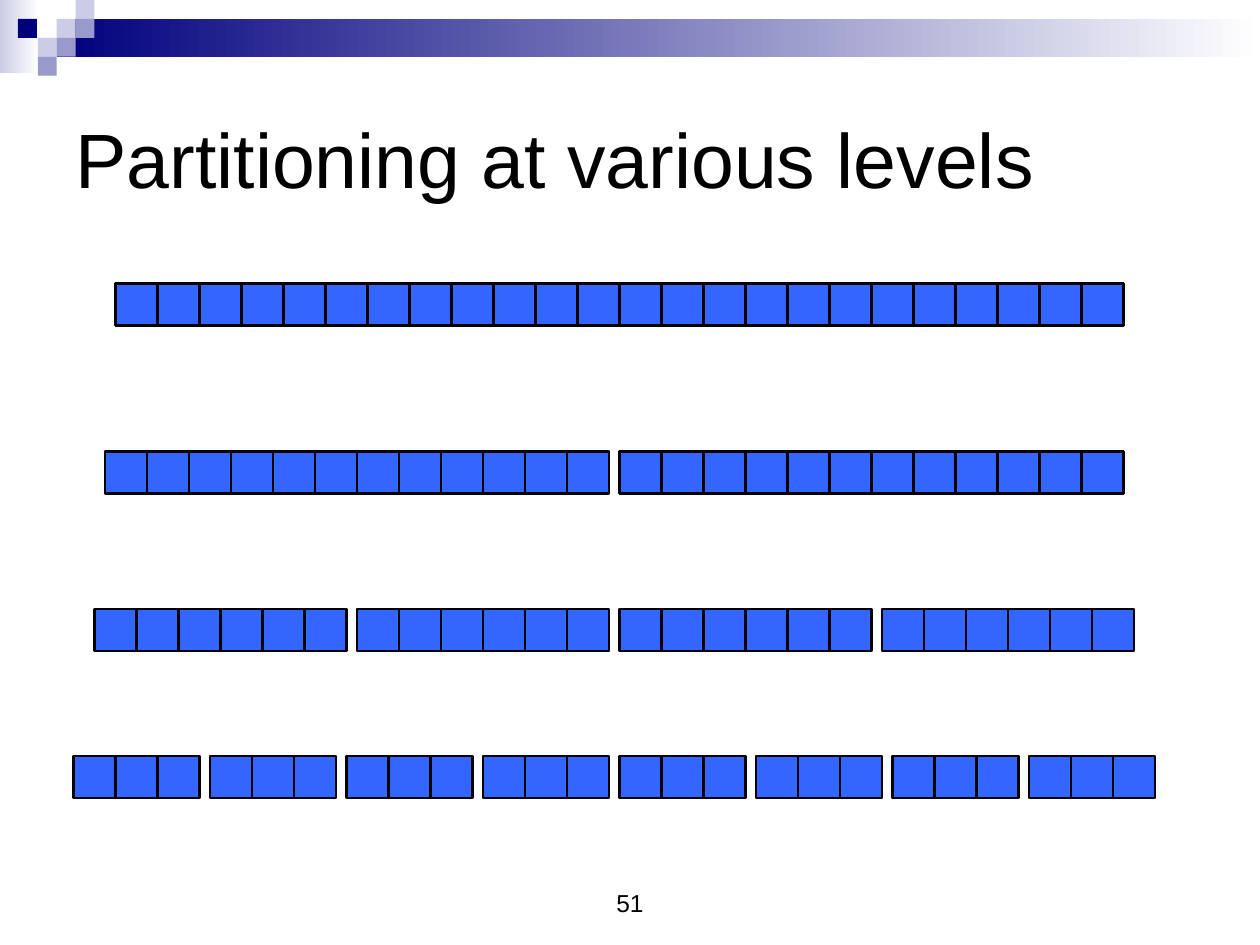
import pptx
import pptx.dml.color
import pptx.enum.shapes
import pptx.enum.text
import pptx.util

Pt = pptx.util.Pt
ALIGN = pptx.enum.text.PP_ALIGN
ANCHOR = pptx.enum.text.MSO_ANCHOR
COLORS = {
    "black": "000000",
    "white": "FFFFFF",
    "cell": "3366FF",
    "navy": "00007D",
    "lavender": "CCCCE6",
    "violet": "9999CC",
}
CELL = 24
GAP = 6
TOTAL_CELLS = 24


def rgb(name):
    """Return the named colour of the palette."""
    return pptx.dml.color.RGBColor.from_string(COLORS[name])


def write_text(shape, text, size, align=ALIGN.LEFT, anchor=ANCHOR.MIDDLE, color="black"):
    """Write one formatted paragraph into a shape."""
    frame = shape.text_frame
    frame.word_wrap = True
    frame.auto_size = pptx.enum.text.MSO_AUTO_SIZE.NONE
    frame.vertical_anchor = anchor
    paragraph = frame.paragraphs[0]
    paragraph.text = text
    paragraph.alignment = align
    paragraph.font.name = "Arial"
    paragraph.font.size = Pt(size)
    paragraph.font.color.rgb = rgb(color)


def place(shape, box):
    """Move a shape to a box of left, top, width and height."""
    shape.left, shape.top, shape.width, shape.height = map(Pt, box)


def add_rectangle(group, box, fill, fade_to=None, outline=None):
    """Add a rectangle with a solid or fading fill to a group."""
    kind = pptx.enum.shapes.MSO_SHAPE.RECTANGLE
    shape = group.shapes.add_shape(kind, *map(Pt, box))
    shape.shadow.inherit = False
    if fade_to:
        shape.fill.gradient()
        shape.fill.gradient_angle = 0
        for stop, color in zip(shape.fill.gradient_stops, (fill, fade_to)):
            stop.color.rgb = rgb(color)
    else:
        shape.fill.solid()
        shape.fill.fore_color.rgb = rgb(fill)
    if outline:
        shape.line.color.rgb = rgb(outline)
        shape.line.width = Pt(1.25)
    else:
        shape.line.fill.background()


def add_header(slide, box):
    """Draw the fading band and its mosaic of small squares."""
    left, top, width, height = box
    unit = height / 4
    group = slide.shapes.add_group_shape()
    add_rectangle(group, (left, top, 22.3, 41.8), "lavender", fade_to="white")
    band = (left + 3 * unit, top + unit, width - 3 * unit, 2 * unit)
    add_rectangle(group, band, "navy", fade_to="white")
    squares = [
        (3, 1, "lavender"),
        (4, 0, "lavender"),
        (4, 1, "violet"),
        (2, 2, "lavender"),
        (0.95, 1, "navy"),
        (3, 2, "violet"),
        (2, 3, "violet"),
    ]
    for column, row, color in squares:
        add_rectangle(group, (left + column * unit, top + row * unit, unit, unit), color)


def add_title(slide, box):
    """Fill and place the title placeholder."""
    title = slide.shapes.title
    place(title, box)
    write_text(title, "Partitioning at various levels", 44)


def add_level(slide, left, top, parts):
    """Draw one row of cells split into equal parts."""
    group = slide.shapes.add_group_shape()
    cells_per_part = TOTAL_CELLS // parts
    for index in range(TOTAL_CELLS):
        cell_left = left + index * CELL + index // cells_per_part * GAP
        add_rectangle(group, (cell_left, top, CELL, CELL), "cell", outline="black")


def add_page_number(slide, box):
    """Write the page number at the foot of the slide."""
    shape = slide.shapes.add_textbox(*map(Pt, box))
    write_text(shape, "51", 14, align=ALIGN.CENTER, anchor=ANCHOR.BOTTOM)


def main():
    """Build and save the slide."""
    presentation = pptx.Presentation()
    presentation.slide_width, presentation.slide_height = Pt(720), Pt(540)
    slide = presentation.slides.add_slide(presentation.slide_layouts[5])
    add_header(slide, (0, 0, 720, 43.2))
    add_page_number(slide, (246, 492, 228, 36))
    add_title(slide, (36, 36, 648, 108))
    levels = [(66, 162, 1), (60, 258, 2), (54, 348, 4), (42, 432, 8)]
    for left, top, parts in levels:
        add_level(slide, left, top, parts)
    presentation.save("out.pptx")


if __name__ == "__main__":
    main()
